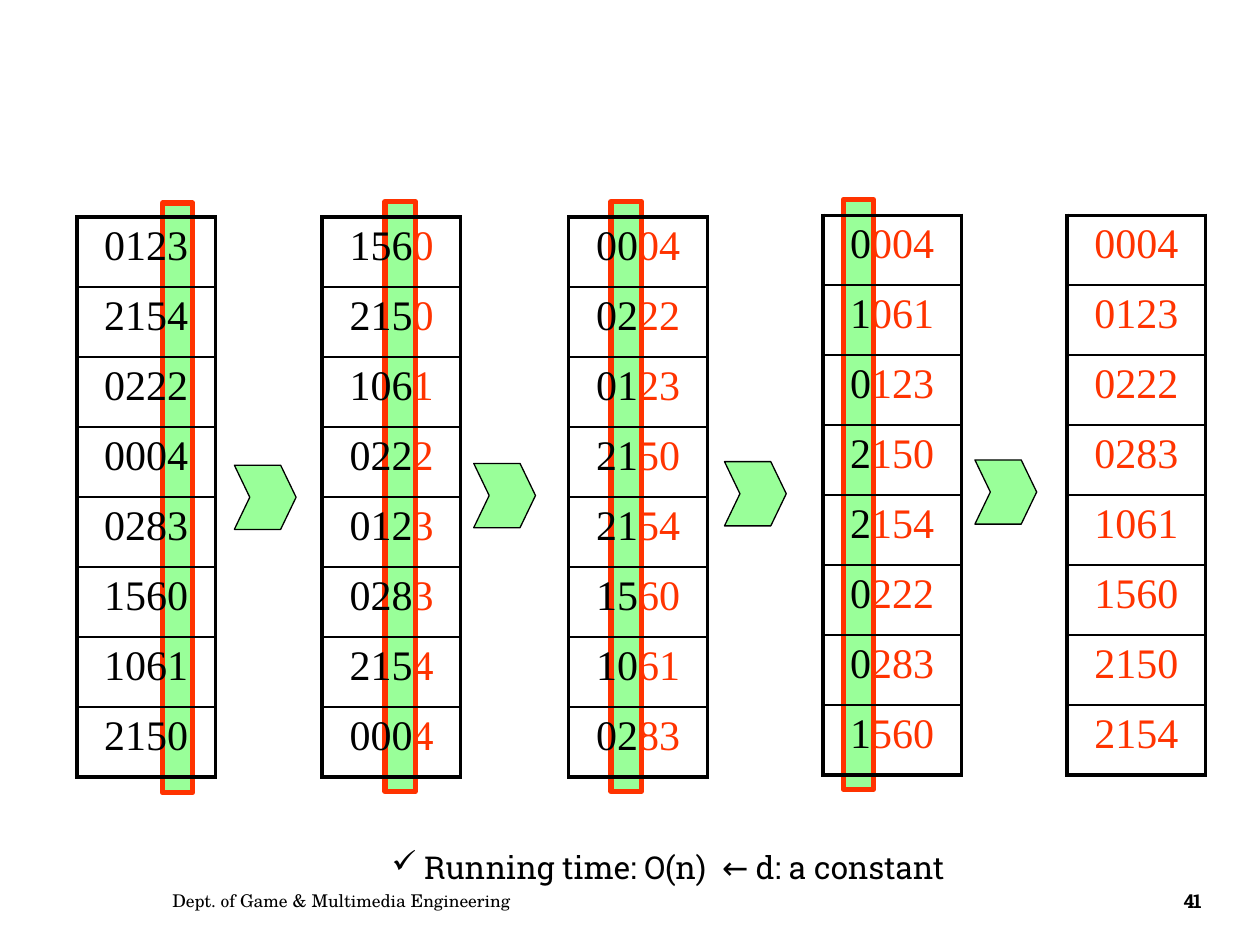
from lxml.etree import SubElement as Sub
from pptx import Presentation
from pptx.dml.color import RGBColor as Rgb
from pptx.enum.shapes import MSO_SHAPE as Kind
from pptx.enum.text import MSO_ANCHOR as Anchor, PP_ALIGN as Align
from pptx.oxml.ns import qn
from pptx.util import Pt

HUES = {"ink": "000000", "done": "FF3300", "band": "99FF99"}
DIGITS = 4
NUMBERS = ["0123", "2154", "0222", "0004", "0283", "1560", "1061", "2150"]
COL_W, ROW_H = 79.2, 40
THICK, THIN = 2.25, 1


def hue(name):
    return Rgb.from_string(HUES[name])


def add_run(para, text, face, size, color="ink"):
    run = para.add_run()
    run.text = text
    run.font.name = face
    run.font.size = Pt(size)
    run.font.color.rgb = hue(color)
    return run


def add_shape(slide, kind, box, line, width):
    shape = slide.shapes.add_shape(kind, *map(Pt, box))
    shape.shadow.inherit = False
    shape.fill.solid()
    shape.fill.fore_color.rgb = hue("band")
    shape.line.color.rgb = hue(line)
    shape.line.width = Pt(width)
    return shape


def add_label(slide, box, anchor=Anchor.TOP):
    frame = slide.shapes.add_textbox(*map(Pt, box)).text_frame
    frame.word_wrap = True
    frame.vertical_anchor = anchor
    return frame.paragraphs[0]


def add_edges(cell, first, last):
    props = cell._tc.get_or_add_tcPr()
    widths = {"lnL": THICK, "lnR": THICK,
              "lnT": THICK if first else THIN,
              "lnB": THICK if last else THIN}
    for tag, width in widths.items():
        edge = Sub(props, qn("a:" + tag), w=str(Pt(width)))
        fill = Sub(edge, qn("a:solidFill"))
        Sub(fill, qn("a:srgbClr"), val=HUES["ink"])


def add_list(slide, left, top, numbers, split):
    """One column of numbers; digits from split onward are already sorted."""
    count = len(numbers)
    box = (left, top, COL_W, ROW_H * count)
    table = slide.shapes.add_table(count, 1, *map(Pt, box)).table
    table.first_row = table.horz_banding = False
    for i, number in enumerate(numbers):
        table.rows[i].height = Pt(ROW_H)
        cell = table.cell(i, 0)
        add_edges(cell, i == 0, i == count - 1)
        cell.fill.background()
        para = cell.text_frame.paragraphs[0]
        para.alignment = Align.CENTER
        for part, color in ((number[:split], "ink"), (number[split:], "done")):
            if part:
                add_run(para, part, "Times New Roman", 24, color)


def add_pass(slide, band, arrow):
    """Highlight of the digit being sorted, and the arrow to the next list."""
    add_shape(slide, Kind.RECTANGLE, (*band, 17.3, 337), "done", 3)
    chevron = add_shape(slide, Kind.CHEVRON, (*arrow, 35.3, 36.7), "ink", 0.75)
    chevron.adjustments[0] = 0.25


def add_sort(slide):
    lists = [(43.9, 124), (184.1, 124), (325, 124), (470.2, 123), (609.8, 123)]
    bands = [(92.9, 116), (220, 115.2), (349.2, 115.2), (481.9, 114)]
    arrows = [(133.9, 265.8), (270.7, 264.8), (414, 263.8), (557.1, 262.8)]
    # Highlights lie behind the lists
    for band, arrow in zip(bands, arrows):
        add_pass(slide, band, arrow)
    # Each pass is a stable sort on the next digit from the right
    numbers = NUMBERS
    for step, (left, top) in enumerate(lists):
        split = DIGITS - step
        if step:
            numbers = sorted(numbers, key=lambda text: text[split])
        add_list(slide, left, top, numbers, split)


def add_note(slide, box):
    para = add_label(slide, box)
    props = para._p.get_or_add_pPr()
    props.set("marL", "0")
    props.set("indent", "0")
    Sub(props, qn("a:buChar"), char="✓")
    add_run(para, " Running time: O(n)  ← d: a constant", "Roboto Slab", 18)


def add_footer(slide, top, height):
    para = add_label(slide, (91.4, top, 330.5, height), Anchor.MIDDLE)
    add_run(para, "Dept. of Game & Multimedia Engineering",
            "TeX Gyre Schola", 10)
    para = add_label(slide, (662.4, top, 38.2, height), Anchor.MIDDLE)
    para.alignment = Align.CENTER
    page = add_run(para, "41", "Roboto Slab", 11)
    page.font.bold = True
    page._r.get_or_add_rPr().set("spc", "-70")


def main():
    deck = Presentation()
    deck.slide_width, deck.slide_height = Pt(720), Pt(540)
    slide = deck.slides.add_slide(deck.slide_layouts[6])
    add_sort(slide)
    add_note(slide, (216.7, 481, 493.2, 41))
    add_footer(slide, 500.4, 28.8)
    deck.save("out.pptx")


if __name__ == "__main__":
    main()
